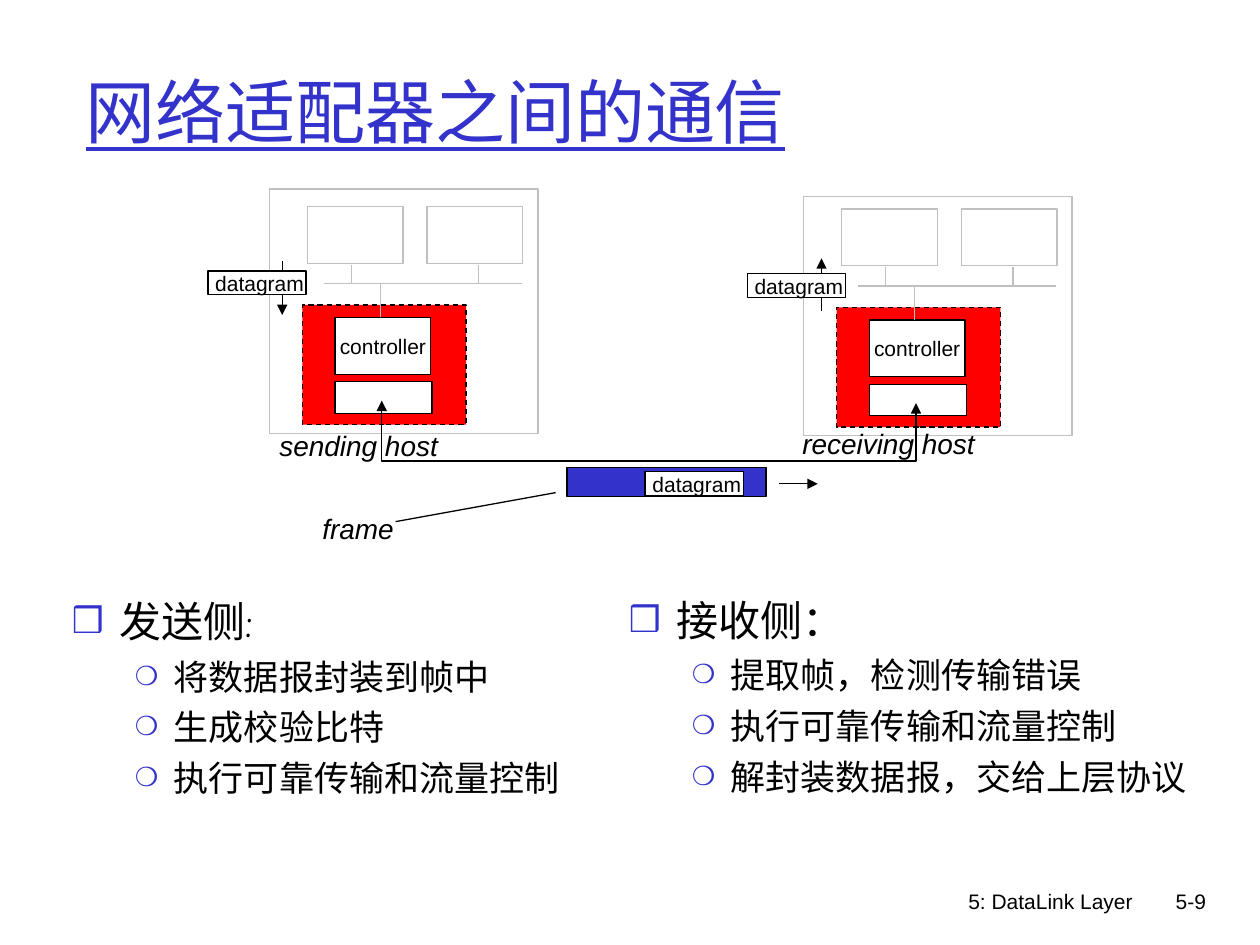
from pptx import Presentation
from pptx.dml.color import RGBColor
from pptx.enum.dml import MSO_LINE
from pptx.enum.shapes import MSO_CONNECTOR, MSO_SHAPE
from pptx.enum.text import MSO_ANCHOR, MSO_AUTO_SIZE, PP_ALIGN
from pptx.oxml.ns import qn
from pptx.util import Inches, Pt
from lxml.etree import SubElement

COLORS = {
    "ink": "000000",
    "paper": "FFFFFF",
    "blue": "3333CC",
    "red": "FF0000",
    "grey": "C0C0C0",
}
WIDTH, HEIGHT = Inches(10), Inches(7.5)
COLUMN, ROW = WIDTH / 100, HEIGHT / 75  # the slide is a grid of 100 by 75 cells
HEADING_FONT, LABEL_FONT = "Comic Neue", "Arial"

# bullet character, size in percent, text size, space before, left indent, hanging
BULLETS = [("❒", 85, 24, 6, 0.38, 0.38), ("❍", 75, 20, 5, 0.81, 0.31)]
SENDING = ["发送侧:", "将数据报封装到帧中", "生成校验比特", "执行可靠传输和流量控制"]
RECEIVING = ["接收侧：", "提取帧，检测传输错误", "执行可靠传输和流量控制",
             "解封装数据报，交给上层协议"]


def color(name):
    return RGBColor.from_string(COLORS[name])


def cells(*numbers):
    """Turn alternating columns and rows into slide lengths."""
    return [round(number * (ROW if index % 2 else COLUMN))
            for index, number in enumerate(numbers)]


def add_span(para, text, size, font=LABEL_FONT, ink="ink", italic=False):
    span = para.add_run()
    span.text = text
    span.font.size = Pt(size)
    span.font.name = font
    span.font.italic = italic
    span.font.color.rgb = color(ink)
    return span


def set_line(line, ink):
    line.color.rgb = color(ink)
    line.width = Pt(0.75)


def add_arrowheads(shape, *ends):
    """Put triangles on the given ends: headEnd is the start, tailEnd the finish."""
    for end in ends:
        SubElement(shape.line._get_or_add_ln(), qn(f"a:{end}"), type="triangle")


def add_box(page, area, fill="paper", ink="ink", dashed=False):
    box = page.shapes.add_shape(MSO_SHAPE.RECTANGLE, *cells(*area))
    box.shadow.inherit = False
    box.fill.solid()
    box.fill.fore_color.rgb = color(fill)
    set_line(box.line, ink)
    if dashed:
        box.line.dash_style = MSO_LINE.DASH
    return box


def add_line(page, start, finish, ink="ink", heads=()):
    line = page.shapes.add_connector(MSO_CONNECTOR.STRAIGHT, *cells(*start, *finish))
    set_line(line.line, ink)
    SubElement(line._element.spPr, qn("a:effectLst"))
    add_arrowheads(line, *heads)


def add_label(page, area, text, size=12, italic=False, align=PP_ALIGN.LEFT, wrap=False):
    """Add a text box; one that does not wrap grows to hold its single line."""
    box = page.shapes.add_textbox(*cells(*area))
    frame = box.text_frame
    frame.word_wrap = wrap
    frame.auto_size = MSO_AUTO_SIZE.NONE if wrap else MSO_AUTO_SIZE.SHAPE_TO_FIT_TEXT
    para = frame.paragraphs[0]
    para.alignment = align
    add_span(para, text, size, italic=italic)


def add_datagram(page, left, top):
    add_box(page, (left, top, 7.8, 1.9))
    add_label(page, (left - 0.4, top - 0.5, 9.1, 3), "datagram")


def add_host(page, left, top, frame_top):
    """Draw a host: processor, memory, bus and its network adapter."""
    def area(column, row, width, height):
        return left + column, top + row, width, height

    def grey_line(start, finish):
        add_line(page, (left + start[0], top + start[1]),
                 (left + finish[0], top + finish[1]), "grey")

    add_box(page, (left, frame_top, 21.3, top + 19.4 - frame_top), ink="grey")
    add_box(page, area(2.6, 9.2, 13, 9.5), "red", dashed=True)
    add_box(page, area(5.2, 15.3, 7.7, 2.5))
    controller = add_box(page, area(5.2, 10.2, 7.6, 4.5))
    controller.text_frame.word_wrap = False
    controller.text_frame.vertical_anchor = MSO_ANCHOR.MIDDLE
    para = controller.text_frame.paragraphs[0]
    para.alignment = PP_ALIGN.CENTER
    add_span(para, "controller", 12)

    bus_row = 7.5
    grey_line((4.3, bus_row), (20, bus_row))
    grey_line((8.8, 10.2), (8.8, bus_row))
    for unit_column, stub_column in ((3, 6.5), (12.5, 16.6)):
        add_box(page, area(unit_column, 1.4, 7.6, 4.5), ink="grey")
        grey_line((stub_column, bus_row), (stub_column, 6))


def add_link(page):
    points = [cells(*point) for point in
              ((30.3, 31.8), (30.3, 36.6), (72.7, 36.6), (72.7, 32))]
    builder = page.shapes.build_freeform(*points[0])
    builder.add_line_segments(points[1:], close=False)
    link = builder.convert_to_shape()
    link.shadow.inherit = False
    link.fill.background()
    set_line(link.line, "ink")
    add_arrowheads(link, "headEnd", "tailEnd")


def place(holder, area):
    holder.left, holder.top, holder.width, holder.height = cells(*area)
    holder.text_frame.auto_size = MSO_AUTO_SIZE.NONE
    holder.text_frame.word_wrap = True


def fill_title(title, text):
    place(title, (5.8, 2.5, 85, 12.5))
    title.text_frame.vertical_anchor = MSO_ANCHOR.MIDDLE
    para = title.text_frame.paragraphs[0]
    para.alignment = PP_ALIGN.LEFT
    add_span(para, text, 40, HEADING_FONT, "blue").font.underline = True


def fill_list(body, area, items):
    """The first item is the heading, the others are its points."""
    place(body, area)
    frame = body.text_frame
    for index, item in enumerate(items):
        para = frame.add_paragraph() if index else frame.paragraphs[0]
        para.level = min(index, 1)
        mark, percent, size, before, indent, hanging = BULLETS[para.level]
        para.space_before = Pt(before)
        properties = para._p.get_or_add_pPr()
        properties.set("marL", str(Inches(indent)))
        properties.set("indent", str(-Inches(hanging)))
        SubElement(SubElement(properties, qn("a:buClr")), qn("a:srgbClr"),
                   val=COLORS["blue"])
        SubElement(properties, qn("a:buSzPct"), val=str(percent * 1000))
        SubElement(properties, qn("a:buChar"), char=mark)
        add_span(para, item, size, HEADING_FONT)


def draw_diagram(page):
    add_box(page, (45, 37.1, 15.8, 2.3), "blue")
    add_host(page, 21.4, 15, frame_top=15)
    add_host(page, 63.8, 15.2, frame_top=15.6)
    add_label(page, (21.2, 33.5, 14.6, 3.7), "sending host", 16, italic=True)
    add_label(page, (62.7, 33.4, 15.7, 3.7), "receiving host", 16, italic=True)
    add_line(page, (22.4, 20.7), (22.4, 25), heads=["tailEnd"])
    add_datagram(page, 16.5, 21.5)
    add_line(page, (65.2, 20.5), (65.2, 24.7), heads=["headEnd"])
    add_datagram(page, 59.3, 21.7)
    add_link(page)
    add_datagram(page, 51.2, 37.4)
    add_line(page, (61.8, 38.4), (64.9, 38.4), heads=["tailEnd"])
    add_label(page, (24.6, 40.1, 7.7, 3.7), "frame", 16, italic=True)
    add_line(page, (31.4, 41.4), (44.1, 39.1))


def main():
    deck = Presentation()
    deck.slide_width, deck.slide_height = WIDTH, HEIGHT
    page = deck.slides.add_slide(deck.slide_layouts.get_by_name("Two Content"))
    title, left_body, right_body = page.placeholders
    fill_title(title, "网络适配器之间的通信")
    fill_list(left_body, (4.7, 46.8, 44.5, 21.2), SENDING)
    fill_list(right_body, (48.9, 46.7, 46.6, 20.2), RECEIVING)
    draw_diagram(page)
    for area, text in (((59.2, 70, 31.7, 5), "5: DataLink Layer"),
                       ((89.3, 70, 7.4, 5), "5-9")):
        add_label(page, area, text, align=PP_ALIGN.RIGHT, wrap=True)
    deck.save("out.pptx")


if __name__ == "__main__":
    main()
